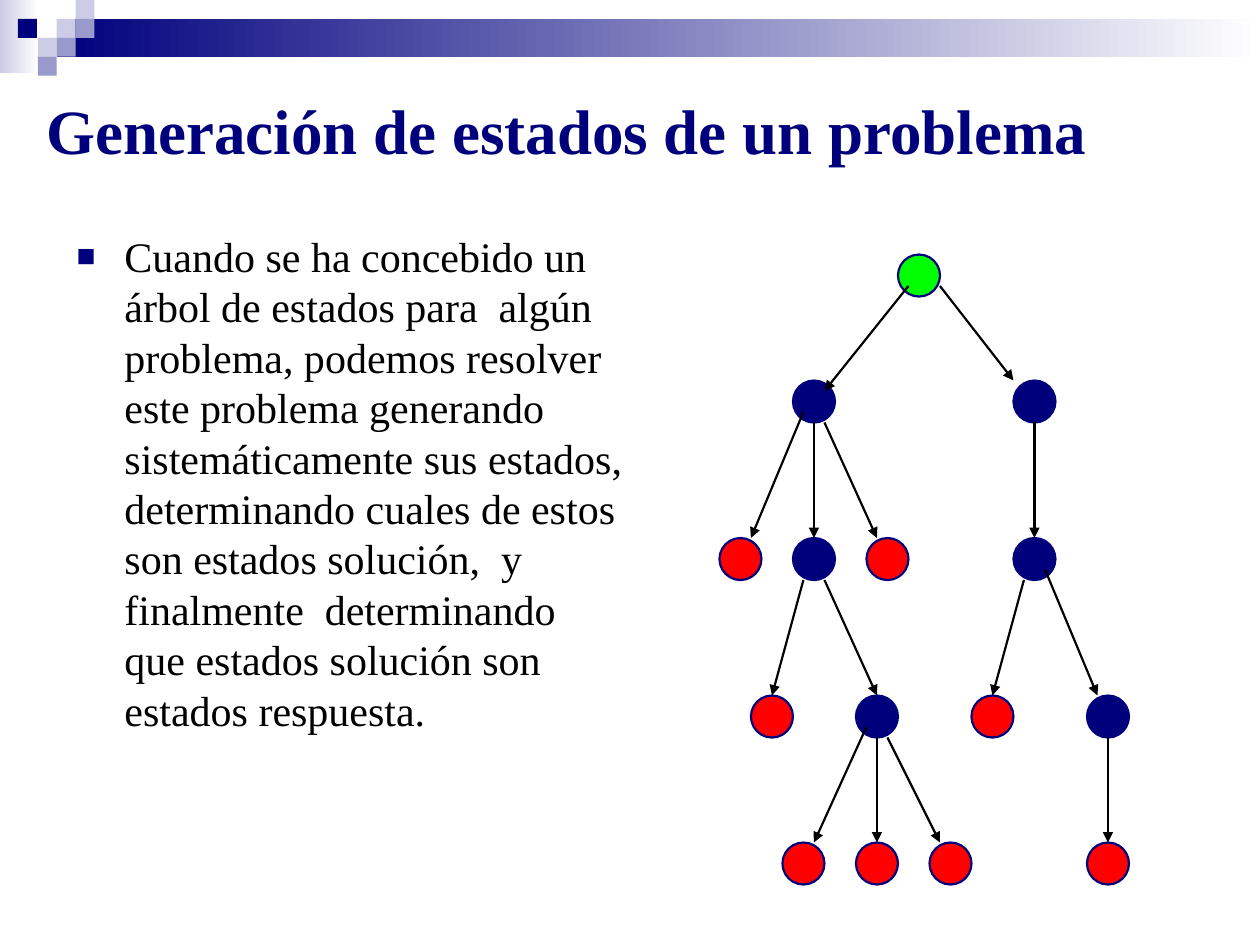
from lxml.etree import SubElement
from pptx import Presentation
from pptx.dml.color import RGBColor
from pptx.enum.shapes import MSO_CONNECTOR, MSO_SHAPE
from pptx.enum.text import MSO_ANCHOR, PP_ALIGN
from pptx.oxml.ns import qn
from pptx.util import Inches, Pt

FONT = "Times New Roman"
NAVY, LILAC, PALE = "00007D", "9999CC", "CCCCE6"
RED, GREEN, BLACK, WHITE = "FF0000", "00FF00", "000000", "FFFFFF"

TITLE = "Generación de estados de un problema"
BODY = ("Cuando se ha concebido un árbol de estados para  algún  problema, "
        "podemos resolver este problema generando sistemáticamente sus estados, "
        "determinando cuales de estos son estados solución,  y  finalmente  "
        "determinando  que estados solución son estados respuesta.")

# Header: gradient bars (left, top, width, height, start colour)
BARS = [(0, 0, 0.31, 0.58, PALE), (0.45, 0.15, 9.55, 0.3, NAVY)]
# Header: checker squares (column, row, colour)
TILE = 0.15
TILES = [(3, 1, PALE), (4, 0, PALE), (4, 1, LILAC), (2, 2, PALE),
         (0.95, 1, NAVY), (3, 2, LILAC), (2, 3, LILAC)]

# Tree grid: twelve units to the inch; a node is four units wide
UNIT, NODE = 1 / 12, 4
TREE_X, TREE_Y = 5.71, 2.02
LEVELS = [0, 12, 27, 42, 56]
# name: (column, level, colour)
NODES = {
    "root": (17, 0, GREEN),
    "left": (7, 1, NAVY), "right": (28, 1, NAVY),
    "l1": (0, 2, RED), "l2": (7, 2, NAVY), "l3": (14, 2, RED), "r1": (28, 2, NAVY),
    "l21": (3, 3, RED), "l22": (13, 3, NAVY), "r11": (24, 3, RED), "r12": (35, 3, NAVY),
    "l221": (6, 4, RED), "l222": (13, 4, RED), "l223": (20, 4, RED), "r121": (35, 4, RED),
}
# parent, child, start within the parent's box, end within the child's box
DOWN = ((2, 4), (2, 0))
EDGES = [
    ("root", "left", (1, 3), (3, 1)), ("root", "right", (4, 3), (0, 0)),
    ("right", "r1", *DOWN), ("r1", "r12", (3, 3), (1, 0)),
    ("r1", "r11", (1, 4), (2, 0)), ("r12", "r121", *DOWN),
    ("left", "l3", (3, 4), (1, 0)), ("left", "l2", *DOWN),
    ("left", "l1", (1, 3), (3, 0)), ("l2", "l22", (3, 4), (2, 0)),
    ("l2", "l21", (1, 4), (2, 0)), ("l22", "l223", (3, 4), (1, 0)),
    ("l22", "l222", *DOWN), ("l22", "l221", (1, 3), (3, 0)),
]


def rgb(color):
    return RGBColor.from_string(color)


def add_shape(kind, x, y, w, h, color):
    sp = s.shapes.add_shape(kind, Inches(x), Inches(y), Inches(w), Inches(h))
    sp.shadow.inherit = False
    sp.fill.solid()
    sp.fill.fore_color.rgb = rgb(color)
    sp.line.fill.background()
    return sp


def add_run(p, text, size, color, bold=False):
    r = p.add_run()
    r.text = text
    r.font.name, r.font.size, r.font.bold = FONT, Pt(size), bold
    r.font.color.rgb = rgb(color)


def add_bullet(p, char, color, percent, indent):
    pPr = p._p.get_or_add_pPr()
    pPr.set("marL", str(Inches(indent)))
    pPr.set("indent", str(-Inches(indent)))
    SubElement(SubElement(pPr, qn("a:buClr")), qn("a:srgbClr"), val=color)
    SubElement(pPr, qn("a:buSzPct"), val=str(percent * 1000))
    SubElement(pPr, qn("a:buFont"), typeface=FONT)
    SubElement(pPr, qn("a:buChar"), char=char)


def grid_point(name, offset=(0, 0)):
    """Slide position, in inches, of a point inside a node's box."""
    col, level, _ = NODES[name]
    return (TREE_X + (col + offset[0]) * UNIT,
            TREE_Y + (LEVELS[level] + offset[1]) * UNIT)


def add_arrow(start, end):
    cn = s.shapes.add_connector(MSO_CONNECTOR.STRAIGHT, *map(Inches, start + end))
    cn.line.width = Pt(1.25)
    cn.line.color.rgb = rgb(BLACK)
    SubElement(cn.line._get_or_add_ln(), qn("a:tailEnd"), type="triangle")
    SubElement(cn._element.spPr, qn("a:effectLst"))


prs = Presentation()
prs.slide_width, prs.slide_height = Inches(10), Inches(7.5)
s = prs.slides.add_slide(prs.slide_layouts[5])

for x, y, w, h, color in BARS:
    fill = add_shape(MSO_SHAPE.RECTANGLE, x, y, w, h, color).fill
    fill.gradient()
    fill.gradient_angle = 0
    for stop, stop_color in zip(fill.gradient_stops, (color, WHITE)):
        stop.color.rgb = rgb(stop_color)
for col, row, color in TILES:
    add_shape(MSO_SHAPE.RECTANGLE, col * TILE, row * TILE, TILE, TILE, color)

title = s.shapes.title
title.left, title.top = Inches(0.27), Inches(0.5)
title.width, title.height = Inches(9.73), Inches(1.05)
tf = title.text_frame
tf.vertical_anchor = MSO_ANCHOR.MIDDLE
p = tf.paragraphs[0]
p.alignment = PP_ALIGN.LEFT
add_run(p, TITLE, 36, NAVY, bold=True)

box = s.shapes.add_textbox(Inches(0.51), Inches(1.78), Inches(4.56), Inches(5.51))
tf = box.text_frame
tf.word_wrap = True
p = tf.paragraphs[0]
add_bullet(p, "■", NAVY, 75, 0.38)
add_run(p, BODY, 24, BLACK)

for name, (_, _, color) in NODES.items():
    node = add_shape(MSO_SHAPE.OVAL, *grid_point(name), NODE * UNIT, NODE * UNIT, color)
    node.line.color.rgb = rgb(NAVY)
    node.line.width = Pt(1.25)
for parent, child, start, end in EDGES:
    add_arrow(grid_point(parent, start), grid_point(child, end))

prs.save("out.pptx")
